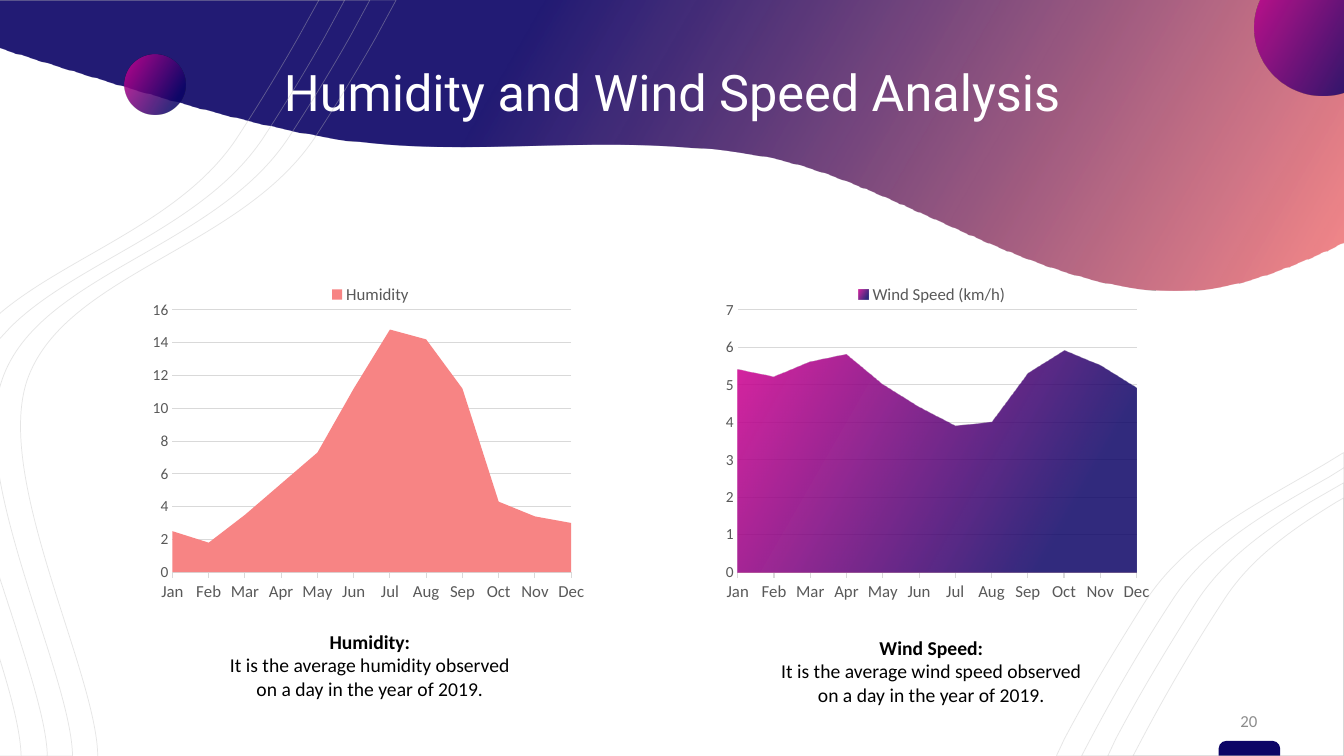
from dataclasses import dataclass
from typing import NamedTuple

from lxml.etree import SubElement
from pptx import Presentation
from pptx.chart.data import CategoryChartData
from pptx.dml.color import RGBColor
from pptx.dml.fill import FillFormat
from pptx.enum.chart import XL_CHART_TYPE, XL_LEGEND_POSITION, XL_TICK_MARK
from pptx.enum.shapes import MSO_SHAPE
from pptx.enum.text import MSO_ANCHOR, PP_ALIGN
from pptx.oxml.ns import qn
from pptx.shapes.autoshape import Shape
from pptx.slide import Slide
from pptx.util import Inches, Pt

Contour = list[tuple[float, ...]]


@dataclass(frozen=True)
class Theme:
    navy: RGBColor = RGBColor(0x0C, 0x04, 0x66)
    coral: RGBColor = RGBColor(0xF7, 0x84, 0x84)
    magenta: RGBColor = RGBColor(0xD3, 0x03, 0x92)
    white: RGBColor = RGBColor(0xFF, 0xFF, 0xFF)
    black: RGBColor = RGBColor(0, 0, 0)
    strand: RGBColor = RGBColor(0xBF, 0xBF, 0xBF)
    grid: RGBColor = RGBColor(0xD9, 0xD9, 0xD9)
    label: RGBColor = RGBColor(0x59, 0x59, 0x59)
    number: RGBColor = RGBColor(0x8C, 0x8C, 0x8C)
    title_font: str = "Roboto"
    body_font: str = "Calibri"
    title_size: int = 36
    body_size: int = 14
    label_size: int = 12
    value_size: int = 11
    chart_size: int = 10


THEME = Theme()


class Stop(NamedTuple):
    position: float
    color: RGBColor
    opacity: int


class Frame(NamedTuple):
    left: float
    top: float
    width: float
    height: float

    def lengths(self) -> list[Inches]:
        return [Inches(value) for value in self]


class Panel(NamedTuple):
    series: dict[str, tuple[float | None, ...]]
    hidden_entry: int
    chart_left: float
    plot_left: float
    maximum: int
    unit: int
    caption: tuple[str, ...]
    caption_frame: Frame


WAVE_STOPS = (Stop(0.36, THEME.navy, 90), Stop(1, THEME.coral, 95))
ORB_STOPS = (Stop(0, THEME.magenta, 86), Stop(0.81, THEME.navy, 84))
MONTHS = "Jan Feb Mar Apr May Jun Jul Aug Sep Oct Nov Dec".split()
BLANK = (None,) * len(MONTHS)
ORBS = (Frame(12.45, -0.4, 1.35, 1.35), Frame(1.24, 0.54, 0.6, 0.6))
HUMIDITY = (2.5, 1.8, 3.5, 5.4, 7.3, 11.2, 14.8, 14.2, 11.2, 4.3, 3.4, 3)
WIND_SPEED = (5.4, 5.2, 5.6, 5.8, 5, 4.4, 3.9, 4, 5.3, 5.9, 5.5, 4.9)
PANELS = (
    Panel({"Humidity": HUMIDITY, "Series 2": BLANK}, 1, 1.28, 0.09, 16, 2,
          ("Humidity:", "It is the average humidity observed", "on a day in the year of 2019."),
          Frame(1.46, 6.24, 4.42, 0.71)),
    Panel({"Series 1": BLANK, "Wind Speed (km/h)": WIND_SPEED}, 0, 6.85, 0.098, 7, 1,
          ("Wind Speed:", "It is the average wind speed observed", "on a day in the year of 2019."),
          Frame(7.03, 6.3, 4.42, 0.71)),
)
WAVE_HEIGHT = 2.88
WAVE: list[Contour] = [[
    (0, 0), (13.33, 0), (13.33, 2.4), (13.19, 2.47), (12.81, 2.64, 12.47, 2.77, 12.17, 2.83),
    (10.57, 3.17, 8.97, 1.78, 7.5, 1.54), (6.03, 1.3, 4.67, 1.58, 3.33, 1.38),
    (2.33, 1.22, 1.02, 0.8, 0.15, 0.53), (0, 0.48)]]
RIGHT_STRANDS: list[list[Contour]] = [
    [[(13.33, 4.79), (13.33, 7.5), (10.99, 7.5), (11.07, 7.33),
      (11.35, 6.8, 11.65, 6.32, 11.87, 5.97), (12.15, 5.54, 12.57, 5.25, 13, 4.98)]],
    [[(13.33, 4.94), (13.33, 7.5), (11.24, 7.5), (11.33, 7.33),
      (11.61, 6.8, 11.9, 6.32, 12.13, 5.97), (12.4, 5.54, 12.82, 5.25, 13.26, 4.98)]],
    [[(13.33, 4.49), (13.33, 7.5), (10.48, 7.5), (10.56, 7.33),
      (10.84, 6.8, 11.14, 6.32, 11.36, 5.97), (11.77, 5.33, 12.51, 4.98, 13.15, 4.6)]],
    [[(13.35, 4.63), (13.35, 7.5), (10.73, 7.5), (10.82, 7.33),
      (11.1, 6.8, 11.39, 6.32, 11.62, 5.97), (11.98, 5.4, 12.61, 5.06, 13.19, 4.73)]],
]
LEFT_STRANDS: list[list[Contour]] = [
    [[(-0.02, 5.68), (0.15, 6.2), (0.31, 6.71, 0.46, 7.18, 0.47, 7.49), (0.46, 7.52), (-0.02, 7.52)],
     [(-0.02, 0), (3.42, 0), (3.22, 0.37), (3.01, 0.74, 2.8, 1.08, 2.63, 1.34),
      (2.04, 2.26, 0.76, 2.59, 0.1, 3.25), (-0.02, 3.38)]],
    [[(-0.03, 6.44), (-0.03, 6.45), (0.1, 6.86, 0.2, 7.23, 0.21, 7.49), (0.21, 7.52), (-0.03, 7.52)],
     [(-0.03, -0.01), (3.17, -0.01), (2.96, 0.37), (2.75, 0.74, 2.54, 1.08, 2.37, 1.34),
      (1.83, 2.19, 0.69, 2.53, 0.01, 3.1), (-0.03, 3.14)]],
    [[(-0.02, 0), (3.93, 0), (3.73, 0.37), (3.52, 0.74, 3.31, 1.08, 3.14, 1.34),
      (2.41, 2.47, 0.64, 2.71, 0.27, 3.77), (-0.06, 4.74, 0.95, 6.65, 0.97, 7.49),
      (0.97, 7.52), (-0.02, 7.52)]],
    [[(-0.03, 4.49), (-0.02, 4.64), (0.13, 5.63, 0.7, 6.86, 0.72, 7.49), (0.72, 7.5), (-0.03, 7.5)],
     [(-0.03, 0), (3.67, 0), (3.47, 0.37), (3.26, 0.74, 3.05, 1.08, 2.88, 1.34),
      (2.16, 2.47, 0.38, 2.71, 0.02, 3.77), (0, 3.83, -0.02, 3.9, -0.03, 3.96), (-0.03, 3.99)]],
]


def add_outline(page: Slide, contours: list[Contour]) -> Shape:
    """Draw closed contours as one freeform, bending its curved segments."""
    first, *others = [[(Inches(part[-2]), Inches(part[-1])) for part in contour]
                      for contour in contours]
    builder = page.shapes.build_freeform(*first[0])
    builder.add_line_segments(first[1:], close=True)
    for points in others:
        builder.move_to(*points[0])
        builder.add_line_segments(points[1:], close=True)
    shape = builder.convert_to_shape()
    shape.shadow.inherit = False
    segments = list(shape.element.iter(qn("a:lnTo")))
    parts = [part for contour in contours for part in contour[1:]]
    for segment, part in zip(segments, parts):
        if len(part) == 6:
            segment.tag = qn("a:cubicBezTo")
            for index in (0, 1):
                x, y = part[2 * index:2 * index + 2]
                control = SubElement(segment, qn("a:pt"), x=str(Inches(x) - shape.left),
                                     y=str(Inches(y) - shape.top))
                segment.insert(index, control)
    return shape


def add_strand(page: Slide, contours: list[Contour]) -> None:
    """Draw one thin translucent outline."""
    shape = add_outline(page, contours)
    shape.fill.background()
    shape.line.color.rgb = THEME.strand
    shape.line.width = Pt(0.5)
    color = shape.element.spPr.find(qn("a:ln")).find(".//" + qn("a:srgbClr"))
    SubElement(color, qn("a:alpha"), val="40000")


def apply_gradient(fill: FillFormat, stops: tuple[Stop, ...]) -> None:
    """Fill with a translucent gradient running 30 degrees clockwise."""
    fill.gradient()
    fill.gradient_angle = 330
    for target, stop in zip(fill.gradient_stops, stops):
        target.position = stop.position
        target.color.rgb = stop.color
        color = target._gs.find(qn("a:srgbClr"))
        SubElement(color, qn("a:alpha"), val=str(stop.opacity * 1000))


def add_text(page: Slide, frame: Frame, lines: tuple[str, ...], size: int, color: RGBColor,
             font: str = THEME.body_font, spacing: float = 1.0, heading: bool = False) -> None:
    """Add centred lines, with a bold first line for a heading."""
    text = page.shapes.add_textbox(*frame.lengths()).text_frame
    text.word_wrap = True
    text.vertical_anchor = MSO_ANCHOR.MIDDLE
    if heading:
        text.margin_left = text.margin_right = text.margin_top = text.margin_bottom = 0
    for index, line in enumerate(lines):
        para = text.paragraphs[0] if index == 0 else text.add_paragraph()
        para.text = line
        para.alignment = PP_ALIGN.CENTER
        para.line_spacing = spacing
        para.font.name, para.font.size = font, Pt(size)
        para.font.color.rgb = color
        para.font.bold = heading and index == 0


def add_panel(page: Slide, panel: Panel) -> None:
    """Add an area chart and its caption."""
    data = CategoryChartData()
    data.categories = MONTHS
    for name, readings in panel.series.items():
        data.add_series(name, readings)
    frame = Frame(panel.chart_left, 2.71, 4.79, 3.38)
    chart = page.shapes.add_chart(XL_CHART_TYPE.AREA, *frame.lengths(), data).chart
    chart.has_title, chart.has_legend = False, True
    chart.legend.position = XL_LEGEND_POSITION.TOP
    chart.legend.include_in_layout = False
    months, values = chart.category_axis, chart.value_axis
    months.major_tick_mark, values.major_tick_mark = XL_TICK_MARK.OUTSIDE, XL_TICK_MARK.NONE
    months.has_major_gridlines, values.has_major_gridlines = False, True
    values.minimum_scale, values.maximum_scale, values.major_unit = 0, panel.maximum, panel.unit
    values.format.line.fill.background()
    for line in (months.format.line, values.major_gridlines.format.line):
        line.color.rgb, line.width = THEME.grid, Pt(0.75)
    for font, size, color in ((chart.font, THEME.chart_size, THEME.black),
                              (chart.legend.font, THEME.label_size, THEME.label),
                              (months.tick_labels.font, THEME.label_size, THEME.label),
                              (values.tick_labels.font, THEME.value_size, THEME.label)):
        font.name, font.size = THEME.body_font, Pt(size)
        font.color.rgb = color
    plot = chart.plots[0]
    plot.vary_by_categories = False
    humidity, wind = (series.format.fill for series in plot.series)
    humidity.solid()
    humidity.fore_color.rgb = THEME.coral
    apply_gradient(wind, ORB_STOPS)
    legend = chart.element.find(".//" + qn("c:legend"))
    entry = SubElement(legend, qn("c:legendEntry"))
    SubElement(entry, qn("c:idx"), val=str(panel.hidden_entry))
    SubElement(entry, qn("c:delete"), val="1")
    legend.insert(1, entry)
    chart.element.find(".//" + qn("c:crossBetween")).set("val", "midCat")
    area = chart.element.find(".//" + qn("c:plotArea"))
    for layout in area.findall(qn("c:layout")):
        area.remove(layout)
    layout = SubElement(area, qn("c:layout"))
    area.insert(0, layout)
    manual = SubElement(layout, qn("c:manualLayout"))
    for tag, value in (("layoutTarget", "inner"), ("xMode", "edge"), ("yMode", "edge"),
                       ("x", panel.plot_left), ("y", 0.108), ("w", 0.826), ("h", 0.77)):
        SubElement(manual, qn(f"c:{tag}"), val=str(value))
    add_text(page, panel.caption_frame, panel.caption, THEME.body_size, THEME.black, heading=True)


def main() -> None:
    """Build the humidity and wind speed slide."""
    deck = Presentation()
    deck.slide_width, deck.slide_height = Inches(40 / 3), Inches(7.5)
    page = deck.slides.add_slide(deck.slide_layouts[6])
    tab = page.shapes.add_shape(MSO_SHAPE.ROUND_2_SAME_RECTANGLE,
                                *Frame(12.09, 7.35, 0.61, 0.15).lengths())
    tab.adjustments[0] = 0.5
    tab.shadow.inherit = False
    tab.fill.solid()
    tab.fill.fore_color.rgb = THEME.navy
    tab.line.fill.background()
    for strand in RIGHT_STRANDS:
        add_strand(page, strand)
    wave = add_outline(page, WAVE)
    wave.height = Inches(WAVE_HEIGHT)
    wave.element.find(".//" + qn("a:path")).set("h", str(wave.height))
    apply_gradient(wave.fill, WAVE_STOPS)
    wave.line.fill.background()
    add_text(page, Frame(0.71, 0.48, 11.92, 0.93), ("Humidity and Wind Speed Analysis",),
             THEME.title_size, THEME.white, THEME.title_font, 0.9)
    add_text(page, Frame(12.16, 6.95, 0.46, 0.4), ("20",), THEME.label_size, THEME.number)
    for frame in ORBS:
        orb = page.shapes.add_shape(MSO_SHAPE.OVAL, *frame.lengths())
        orb.shadow.inherit = False
        apply_gradient(orb.fill, ORB_STOPS)
        orb.line.fill.background()
    for strand in LEFT_STRANDS:
        add_strand(page, strand)
    for panel in PANELS:
        add_panel(page, panel)
    deck.save("out.pptx")


if __name__ == "__main__":
    main()
